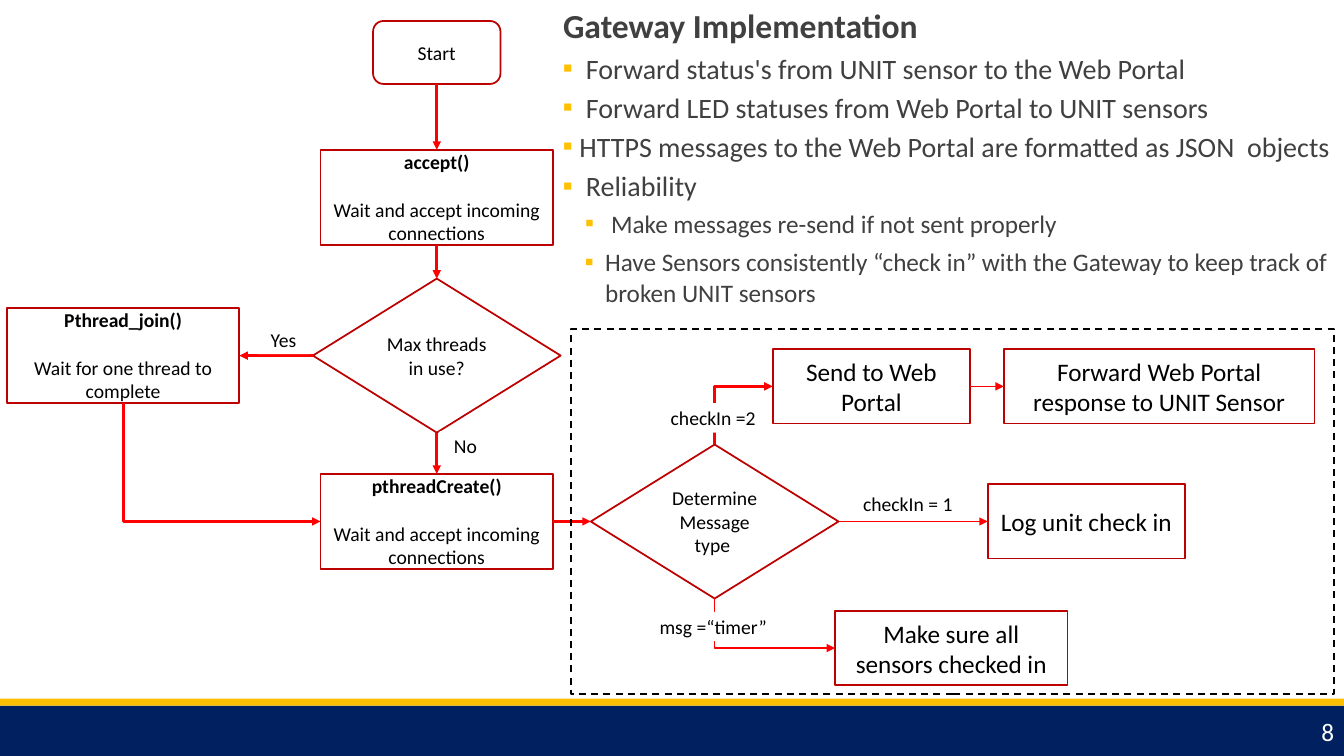
from lxml import etree
from pptx import Presentation
from pptx.dml.color import RGBColor
from pptx.enum import dml, shapes, text
from pptx.oxml import ns
from pptx.util import Pt

NAVY = RGBColor(0x00, 0x20, 0x60)
GOLD = RGBColor(0xFF, 0xC0, 0x00)
GREY = RGBColor(0x40, 0x40, 0x40)
CRIMSON = RGBColor(0xBD, 0x00, 0x00)
RED = RGBColor(0xFF, 0x00, 0x00)
BLACK = RGBColor(0x00, 0x00, 0x00)
WHITE = RGBColor(0xFF, 0xFF, 0xFF)
FONT = "Calibri"
RECT = shapes.MSO_SHAPE.RECTANGLE
ROUNDED = shapes.MSO_SHAPE.ROUNDED_RECTANGLE
DIAMOND = shapes.MSO_SHAPE.DIAMOND
TOP, LEFT, BOTTOM, RIGHT = range(4)

POINTS = [
    ("Forward status's from UNIT sensor to the Web Portal", 0, 16.4, 16.4),
    ("Forward LED statuses from Web Portal to UNIT sensors", 0, 16.4, 16.4),
    ("HTTPS messages to the Web Portal are formatted as JSON  objects", 0, 11.8, 11.8),
    ("Reliability", 0, 16.4, 16.4),
    ("Make messages re-send if not sent properly", 1, 34.4, 18.6),
    ("Have Sensors consistently “check in” with the Gateway to keep track of "
     "broken UNIT sensors", 1, 30.2, 14.4),
]


def style(paragraph, size, color, bold=False, align=text.PP_ALIGN.LEFT):
    paragraph.alignment = align
    font = paragraph.font
    font.name, font.size, font.bold = FONT, Pt(size), bold
    font.color.rgb = color


def add_block(slide, kind, left, top, width, height, fill=None):
    block = slide.shapes.add_shape(kind, Pt(left), Pt(top), Pt(width), Pt(height))
    block.shadow.inherit = False
    block.line.fill.background()
    if fill is None:
        block.fill.background()
    else:
        block.fill.solid()
        block.fill.fore_color.rgb = fill
    return block


def outline(block, color):
    block.line.color.rgb = color
    block.line.width = Pt(1.25)


def write(block, caption, size):
    frame = block.text_frame
    frame.word_wrap = True
    frame.vertical_anchor = text.MSO_ANCHOR.MIDDLE
    frame.text = caption
    for paragraph in frame.paragraphs:
        style(paragraph, size, BLACK, align=text.PP_ALIGN.CENTER)


def add_step(slide, kind, center, middle, width, height, caption, size=14):
    step = add_block(slide, kind, center - width / 2, middle - height / 2, width, height, WHITE)
    outline(step, CRIMSON)
    write(step, caption, size)
    return step


def add_call(slide, center, middle, name, action):
    call = add_step(slide, RECT, center, middle, 166, 68, f"{name}\n{action}")
    heading = call.text_frame.paragraphs[0]
    heading.font.bold = True
    heading.space_after = Pt(17)
    return call


def add_label(slide, left, top, width, caption):
    write(add_block(slide, RECT, left, top, width, 21, WHITE), caption, 14)


def add_arrow(slide, source, source_side, target, target_side, weight=2):
    bent = (source_side + target_side) % 2 == 1
    kind = shapes.MSO_CONNECTOR.ELBOW if bent else shapes.MSO_CONNECTOR.STRAIGHT
    arrow = slide.shapes.add_connector(kind, 0, 0, 0, 0)
    ends = [(source, source_side), (target, target_side)]
    if bent:
        ends.reverse()
    arrow.begin_connect(*ends[0])
    arrow.end_connect(*ends[1])
    arrow.line.color.rgb = RED
    arrow.line.width = Pt(weight)
    properties = arrow.element.spPr
    if bent:
        properties.find(ns.qn("a:prstGeom")).set("prst", "bentConnector2")
    tip = "a:headEnd" if bent else "a:tailEnd"
    etree.SubElement(properties.find(ns.qn("a:ln")), ns.qn(tip), type="triangle")
    etree.SubElement(properties, ns.qn("a:effectLst"))


def add_bullet(paragraph, margin, hanging):
    properties = paragraph._p.get_or_add_pPr()
    properties.set("marL", str(Pt(margin)))
    properties.set("indent", str(-Pt(hanging)))
    color = etree.SubElement(properties, ns.qn("a:buClr"))
    etree.SubElement(color, ns.qn("a:srgbClr"), val=str(GOLD))
    etree.SubElement(properties, ns.qn("a:buFont"), typeface=FONT)
    etree.SubElement(properties, ns.qn("a:buChar"), char="▪")


def build_summary(slide, left, top, width, height):
    title = slide.shapes.title
    title.left, title.top, title.width, title.height = Pt(left), Pt(top), Pt(width), Pt(36)
    frame = title.text_frame
    frame.auto_size = text.MSO_AUTO_SIZE.NONE
    frame.vertical_anchor = text.MSO_ANCHOR.TOP
    frame.text = "Gateway Implementation"
    style(frame.paragraphs[0], 24, GREY, bold=True)
    frame.paragraphs[0].space_before = Pt(2)

    points = slide.shapes.add_textbox(
        Pt(left), Pt(top + 36.5), Pt(width), Pt(height - 36.5)).text_frame
    points.word_wrap = True
    points.margin_top = 0
    points.text = "\n".join(point[0] for point in POINTS)
    for paragraph, (_, level, margin, hanging) in zip(points.paragraphs, POINTS):
        style(paragraph, 18 if level else 20, GREY)
        paragraph.level = level
        paragraph.space_before = Pt(2)
        paragraph.space_after = Pt(4 if level else 2)
        add_bullet(paragraph, margin, hanging)


def build_accept_loop(slide, left, top):
    axis = left + 307
    start = add_step(slide, ROUNDED, axis, top + 22.5, 91, 45, "Start")
    accept = add_call(slide, axis, top + 126, "accept()", "Wait and accept incoming connections")
    full = add_step(slide, DIAMOND, axis, top + 239, 177, 110, "Max threads in use?")
    create = add_call(slide, axis, top + 357.5, "pthreadCreate()",
                      "Wait and accept incoming connections")
    join = add_call(slide, left + 83, top + 239, "Pthread_join()",
                    "Wait for one thread to complete")
    for upper, lower in [(start, accept), (accept, full), (full, create)]:
        add_arrow(slide, upper, BOTTOM, lower, TOP)
    add_arrow(slide, full, LEFT, join, RIGHT)
    add_arrow(slide, join, BOTTOM, create, LEFT)
    add_label(slide, left + 309, top + 293, 37, "No")
    add_label(slide, left + 179, top + 217, 37, "Yes")
    return create


def build_message_handler(slide, left, top, width, height, create):
    middle = top + 137.5
    kind = add_step(slide, DIAMOND, left + 102.5, middle, 177, 110, "Determine Message type ")
    send = add_step(slide, RECT, left + 214.5, top + 41, 141, 53, "Send to Web Portal", 18)
    forward = add_step(slide, RECT, left + 420, top + 41, 222, 53,
                       "Forward Web Portal response to UNIT Sensor", 18)
    log = add_step(slide, RECT, left + 368, middle, 141, 53, "Log unit check in", 18)
    check = add_step(slide, RECT, left + 271.5, top + 228, 166, 53,
                     "Make sure all sensors checked in", 18)
    add_arrow(slide, create, RIGHT, kind, LEFT)
    add_arrow(slide, kind, TOP, send, LEFT)
    add_arrow(slide, send, RIGHT, forward, LEFT, 1)
    add_arrow(slide, kind, RIGHT, log, LEFT, 1)
    add_arrow(slide, kind, BOTTOM, check, LEFT, 1)
    add_label(slide, left + 61, top + 53, 81, "checkIn =2")
    add_label(slide, left + 200, top + 114, 81, "checkIn = 1")
    add_label(slide, left + 53, top + 202, 97, "msg =“timer”")
    frame = add_block(slide, RECT, left, top, width, height)
    outline(frame, BLACK)
    frame.line.dash_style = dml.MSO_LINE.DASH


def build_footer(slide, left, top, width, height):
    add_block(slide, RECT, left, top + 5, width, height - 5, NAVY)
    add_block(slide, RECT, left, top, width, 5, GOLD)
    number = slide.shapes.add_textbox(
        Pt(left + width - 180), Pt(top + 9), Pt(180), Pt(29)).text_frame
    number.word_wrap = True
    number.vertical_anchor = text.MSO_ANCHOR.MIDDLE
    number.text = "8"
    style(number.paragraphs[0], 18, WHITE, align=text.PP_ALIGN.RIGHT)


def main():
    deck = Presentation()
    deck.slide_width, deck.slide_height = Pt(960), Pt(540)
    slide = deck.slides.add_slide(deck.slide_layouts[5])
    build_footer(slide, 0, 499, 960, 41)
    build_summary(slide, 395, 0, 565, 235)
    create = build_accept_loop(slide, 5, 15)
    build_message_handler(slide, 408, 235, 545, 261, create)
    deck.save("out.pptx")


if __name__ == "__main__":
    main()
